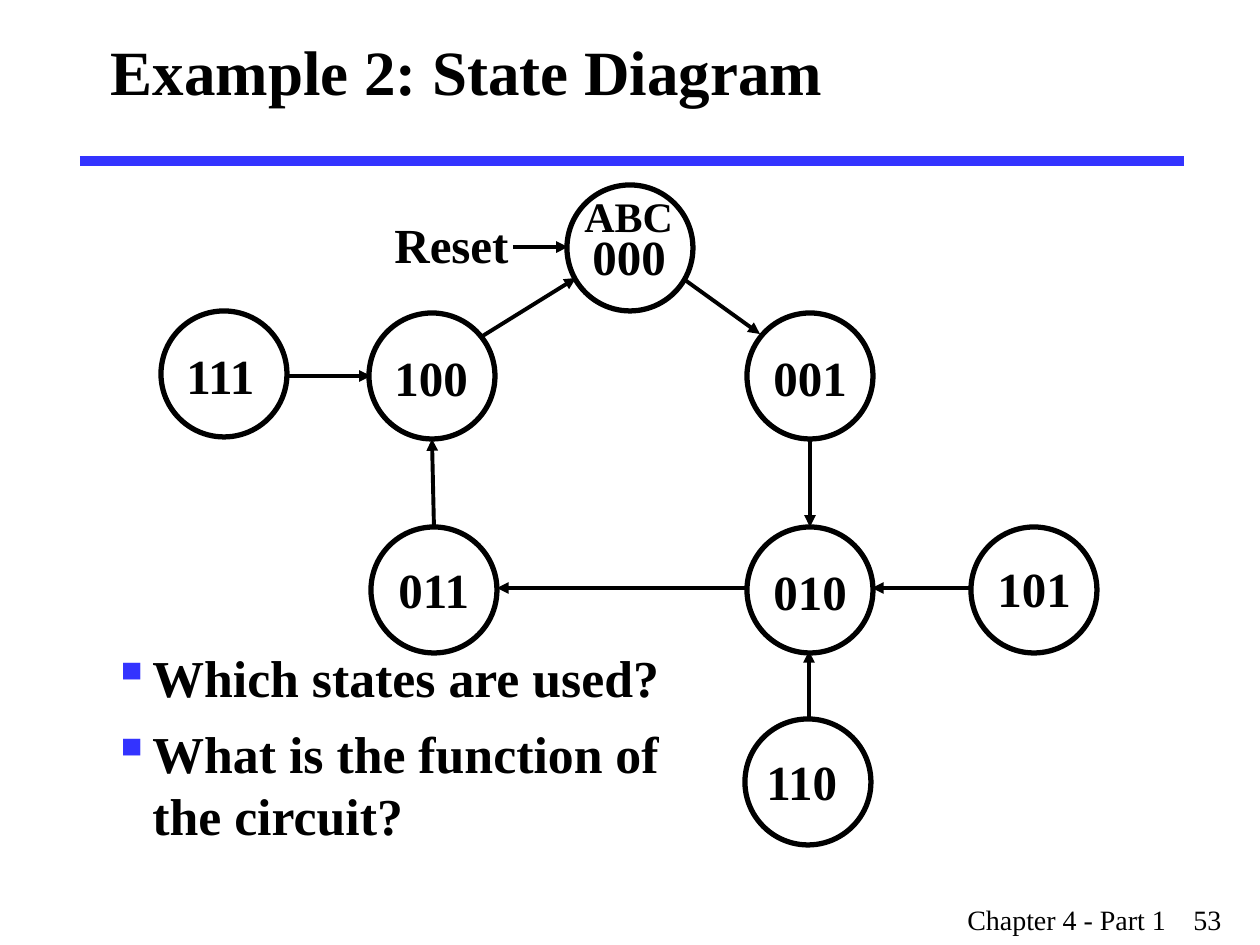
from dataclasses import dataclass

from lxml.etree import SubElement
from pptx import Presentation
from pptx.dml.color import RGBColor
from pptx.enum.shapes import MSO_CONNECTOR, MSO_SHAPE
from pptx.enum.text import MSO_ANCHOR, PP_ALIGN
from pptx.oxml.ns import qn
from pptx.util import Pt


@dataclass(frozen=True)
class Theme:
    face: str = "Times New Roman"
    ink: str = "000000"
    accent: str = "3333FF"
    title: float = 36
    body: float = 29.6
    label: float = 28
    small: float = 24
    foot: float = 16


def px(num):
    return round(num * 914400 / 126)


def apply(item, values):
    for key, value in values.items():
        setattr(item, key, value)


class Page:
    def __init__(self, deck, theme):
        self.theme = theme
        self.slide = deck.slides.add_slide(deck.slide_layouts[5])
        self.shapes = self.slide.shapes

    def style(self, par, size, bold=True):
        for run in par.runs:
            apply(run.font, {"name": self.theme.face, "size": Pt(size), "bold": bold})
            run.font.color.rgb = RGBColor.from_string(self.theme.ink)

    def title(self, text, *box):
        shape = self.shapes.title
        apply(shape, dict(zip(("left", "top", "width", "height"), map(px, box))))
        frame = shape.text_frame
        apply(frame, {"text": text, "vertical_anchor": MSO_ANCHOR.MIDDLE, "word_wrap": True})
        par = frame.paragraphs[0]
        par.alignment = PP_ALIGN.LEFT
        self.style(par, self.theme.title)

    def text(self, text, size, *box, bold=True, tab=None):
        frame = self.shapes.add_textbox(*map(px, box)).text_frame
        apply(frame, {"word_wrap": True, "text": text})
        par = frame.paragraphs[0]
        if tab:
            stops = SubElement(par._p.get_or_add_pPr(), qn("a:tabLst"))
            SubElement(stops, qn("a:tab"), pos=str(px(tab)), algn="l")
        self.style(par, size, bold)

    def bullets(self, items, *box):
        frame = self.shapes.add_textbox(*map(px, box)).text_frame
        frame.word_wrap = True
        for num, item in enumerate(items):
            par = frame.add_paragraph() if num else frame.paragraphs[0]
            apply(par, {"text": item, "line_spacing": Pt(35.4), "space_before": Pt(8 if num else 0)})
            props = par._p.get_or_add_pPr()
            apply_indent = {"marL": px(40), "indent": -px(40)}
            for key, value in apply_indent.items():
                props.set(key, str(value))
            tint = SubElement(props, qn("a:buClr"))
            SubElement(tint, qn("a:srgbClr"), val=self.theme.accent)
            SubElement(props, qn("a:buChar"), char="▪")
            self.style(par, self.theme.body)

    def circle(self, left, top, size):
        shape = self.shapes.add_shape(MSO_SHAPE.OVAL, *map(px, (left, top, size, size)))
        shape.shadow.inherit = False
        shape.fill.background()
        shape.line.width = Pt(3)
        shape.line.color.rgb = RGBColor.from_string(self.theme.ink)

    def line(self, ends, color, width, arrow=False):
        link = self.shapes.add_connector(MSO_CONNECTOR.STRAIGHT, *map(px, ends))
        link.line.width = Pt(width)
        link.line.color.rgb = RGBColor.from_string(color)
        if arrow:
            SubElement(link.line._get_or_add_ln(), qn("a:tailEnd"), type="triangle")
        SubElement(link._element.spPr, qn("a:effectLst"))


# State: circle left and top, then label offset
STATES = {
    "000": (567, 185, 13, 35),
    "001": (747, 313, 14, 28),
    "010": (747, 527, 14, 28),
    "011": (371, 527, 15, 26),
    "100": (369, 313, 13, 28),
    "101": (971, 527, 14, 25),
    "110": (745, 719, 9, 26),
    "111": (161, 311, 13, 28),
}
ARROWS = [
    (685, 280, 760, 334),  # 000 to 001
    (810, 438, 810, 527),  # 001 to 010
    (748, 588, 497, 588),  # 010 to 011
    (434, 527, 432, 439),  # 011 to 100
    (481, 337, 576, 278),  # 100 to 000
    (288, 376, 371, 376),  # 111 to 100
    (971, 588, 872, 588),  # 101 to 010
    (809, 719, 809, 651),  # 110 to 010
    (513, 247, 568, 247),  # reset to 000
]


def main():
    theme = Theme()
    deck = Presentation()
    apply(deck, {"slide_width": px(1260), "slide_height": px(945)})
    page = Page(deck, theme)

    # Heading and rule
    page.title("Example 2: State Diagram", 98, 0, 1071, 141)
    page.line((80, 161, 1184, 161), theme.accent, 6)

    # Questions
    page.bullets(["Which states are used?", "What is the function of\vthe circuit?"],
                 100, 640, 620, 215)

    # State diagram
    for left, top, _, _ in STATES.values():
        page.circle(left, top, 126)
    for ends in ARROWS:
        page.line(ends, theme.ink, 2.25, arrow=True)
    for name, (left, top, dx, dy) in STATES.items():
        page.text(name, theme.label, left + dx, top + dy, 131, 72)
    page.text("Reset", theme.label, 382, 208, 170, 72)
    page.text("ABC", theme.small, 572, 184, 120, 63)

    # Footer
    page.text("Chapter 4 - Part 1\t53", theme.foot, 955, 896, 305, 48, bold=False, tab=226)
    deck.save("out.pptx")


if __name__ == "__main__":
    main()
